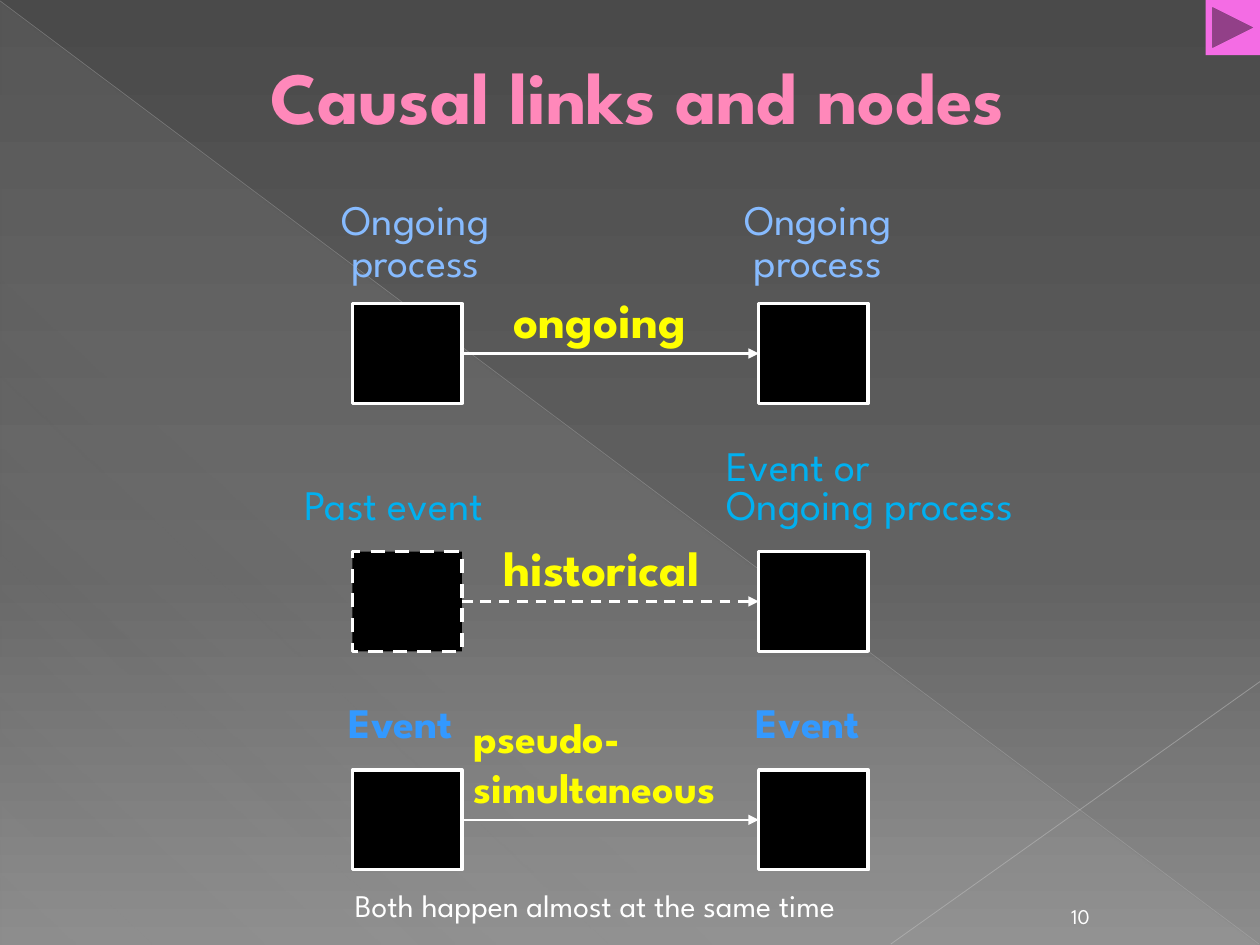
from dataclasses import dataclass

from lxml.etree import SubElement
from pptx import Presentation
from pptx.dml.color import RGBColor
from pptx.enum.dml import MSO_LINE as Dash
from pptx.enum.shapes import MSO_CONNECTOR as Link, MSO_SHAPE as Shape
from pptx.enum.text import MSO_ANCHOR as Anchor, MSO_AUTO_SIZE as Fit, PP_ALIGN as Align
from pptx.oxml.ns import qn
from pptx.util import Pt


@dataclass(frozen=True)
class Theme:
    font: str = "League Spartan"
    title: str = "FF88BA"
    link: str = "FFFF00"
    process: str = "87BBFF"
    history: str = "00B0F0"
    event: str = "3399FF"
    white: str = "FFFFFF"
    black: str = "000000"
    button: str = "F46CE4"
    sheen: str = "D2D2D2"
    diagonal: str = "BFBFBF"
    corner: str = "C6C6C6"
    backdrop: tuple = ((0, "4A4A4A", 100), (60, "626262", 100), (100, "8C8C8C", 100))
    title_size: float = 42
    link_size: float = 28
    label_size: float = 24
    note_size: float = 18
    number_size: float = 12


class SlideBuilder:
    """Draws the elements of one slide in a shared style."""

    def __init__(self, slide, theme):
        self.slide, self.shapes, self.theme = slide, slide.shapes, theme

    def gradient(self, fill, owner, stops, angle):
        fill.gradient()
        fill.gradient_angle = 360 - angle
        stop_list = next(owner.iter(qn("a:gsLst")))
        for old_stop in list(stop_list):
            stop_list.remove(old_stop)
        for position, color, opacity in stops:
            stop = SubElement(stop_list, qn("a:gs"), pos=str(position * 1000))
            tint = SubElement(stop, qn("a:srgbClr"), val=color)
            if opacity < 100:
                SubElement(tint, qn("a:alpha"), val=str(opacity * 1000))

    def background(self, stops, angle):
        self.gradient(self.slide.background.fill, self.slide.element, stops, angle)

    def sheen(self, left, top, width, height, stops, angle):
        triangle = self.shapes.add_shape(
            Shape.RIGHT_TRIANGLE, Pt(left), Pt(top), Pt(width), Pt(height))
        triangle.shadow.inherit = False
        triangle.line.fill.background()
        self.gradient(triangle.fill, triangle.element, stops, angle)

    def line(self, start, end, color, width, opacity=100):
        rule = self.shapes.add_connector(Link.STRAIGHT, *map(Pt, (*start, *end)))
        rule.line.color.rgb = RGBColor.from_string(color)
        rule.line.width = Pt(width)
        SubElement(rule.element.spPr, qn("a:effectLst"))
        if opacity < 100:
            tint = next(rule.element.iter(qn("a:srgbClr")))
            SubElement(tint, qn("a:alpha"), val=str(opacity * 1000))
        return rule

    def block(self, kind, left, top, width, height, color):
        block = self.shapes.add_shape(kind, Pt(left), Pt(top), Pt(width), Pt(height))
        block.shadow.inherit = False
        block.fill.solid()
        block.fill.fore_color.rgb = RGBColor.from_string(color)
        block.line.fill.background()
        return block

    def node(self, left, top, width, height, dash=Dash.SOLID):
        node = self.block(Shape.RECTANGLE, left, top, width, height, self.theme.black)
        node.line.color.rgb = RGBColor.from_string(self.theme.white)
        node.line.width = Pt(2)
        node.line.dash_style = dash
        return node

    def arrow(self, cause, effect, dash=Dash.SOLID):
        arrow = self.line((0, 0), (1, 1), self.theme.white, 1.5)
        arrow.begin_connect(cause, 3)
        arrow.end_connect(effect, 1)
        arrow.line.dash_style = dash
        SubElement(next(arrow.element.iter(qn("a:ln"))), qn("a:tailEnd"), type="triangle")

    def add_lines(self, frame, lines, size, color, bold=False, align=Align.LEFT, spacing=None):
        for index, wording in enumerate(lines):
            paragraph = frame.add_paragraph() if index else frame.paragraphs[0]
            paragraph.alignment = align
            if spacing:
                paragraph.line_spacing = Pt(spacing)
            run = paragraph.add_run()
            run.text = wording
            run.font.name, run.font.size, run.font.bold = self.theme.font, Pt(size), bold
            run.font.color.rgb = RGBColor.from_string(color)

    def title(self, wording, left, top, width, height, indent):
        title = self.shapes.title
        self.shapes.element.append(title.element)
        title.left, title.top, title.width, title.height = map(Pt, (left, top, width, height))
        frame = title.text_frame
        frame.auto_size, frame.vertical_anchor = Fit.NONE, Anchor.MIDDLE
        frame.margin_left = Pt(7.2 + indent)
        self.add_lines(frame, [wording], self.theme.title_size, self.theme.title, True,
                       Align.CENTER)

    def label(self, lines, left, top, width, height, size, color, **style):
        frame = self.shapes.add_textbox(Pt(left), Pt(top), Pt(width), Pt(height)).text_frame
        frame.word_wrap, frame.auto_size = False, Fit.SHAPE_TO_FIT_TEXT
        self.add_lines(frame, lines, size, color, **style)

    def page_number(self, wording, left, top, width, height):
        frame = self.shapes.add_textbox(Pt(left), Pt(top), Pt(width), Pt(height)).text_frame
        frame.word_wrap, frame.vertical_anchor = True, Anchor.BOTTOM
        self.add_lines(frame, [wording], self.theme.number_size, self.theme.white,
                       align=Align.CENTER)


def main():
    theme = Theme()
    deck = Presentation()
    deck.slide_width, deck.slide_height = Pt(720), Pt(540)
    page = SlideBuilder(deck.slides.add_slide(deck.slide_layouts[5]), theme)

    page.background(theme.backdrop, 90)
    sheen_stops = [(at, theme.sheen, opacity) for at, opacity in ((0, 10), (70, 8), (100, 1))]
    page.sheen(0.5, 1, 719, 539, sheen_stops, 133)
    page.line((0, 0.5), (719.5, 539.5), theme.diagonal, 0.39, 35)
    page.line((720, 389.5), (509, 539.5), theme.corner, 0.47, 45)
    page.title("Causal links and nodes", 36, 9.4, 618.5, 90, 38)

    cause_left, effect_left, node_width, node_height = 201.4, 433.6, 62.6, 57
    for top, cause_dash in ((173.5, Dash.SOLID), (315.2, Dash.DASH), (440, Dash.SOLID)):
        cause = page.node(cause_left, top, node_width, node_height, cause_dash)
        effect = page.node(effect_left, top, node_width, node_height)
        page.arrow(cause, effect, cause_dash)

    for lines, left, top, width, height, size in (
        (["ongoing"], 286.4, 162, 129, 41, theme.link_size),
        (["historical"], 280.6, 303.8, 137, 41, theme.link_size),
        (["pseudo-", "simultaneous"], 263.5, 403, 166.5, 65.5, theme.label_size),
    ):
        page.label(lines, left, top, width, height, size, theme.link, bold=True)

    for process_left, event_left in ((178.4, 192.2), (408.4, 424.8)):
        page.label(["Ongoing", "process"], process_left, 111.6, 118, 55.4, theme.label_size,
                   theme.process, align=Align.CENTER, spacing=24)
        page.label(["Event"], event_left, 394.6, 80, 36, theme.label_size, theme.event, bold=True)

    for wording, left, top, width in (
        ("Past event", 167, 270, 137.5),
        ("Ongoing process", 408.2, 270, 215.3),
        ("Event or", 408.2, 247.5, 109.4),
    ):
        page.label([wording], left, top, width, 36, theme.label_size, theme.history)

    page.label(["Both happen almost at the same time"], 195.8, 502.6, 348.5, 28.8,
               theme.note_size, theme.white)
    page.page_number("10", 597.6, 510.5, 39.6, 23.8)
    page.block(Shape.ACTION_BUTTON_FORWARD_OR_NEXT, 689, 0, 31, 31.5, theme.button)
    deck.save("out.pptx")


if __name__ == "__main__":
    main()
